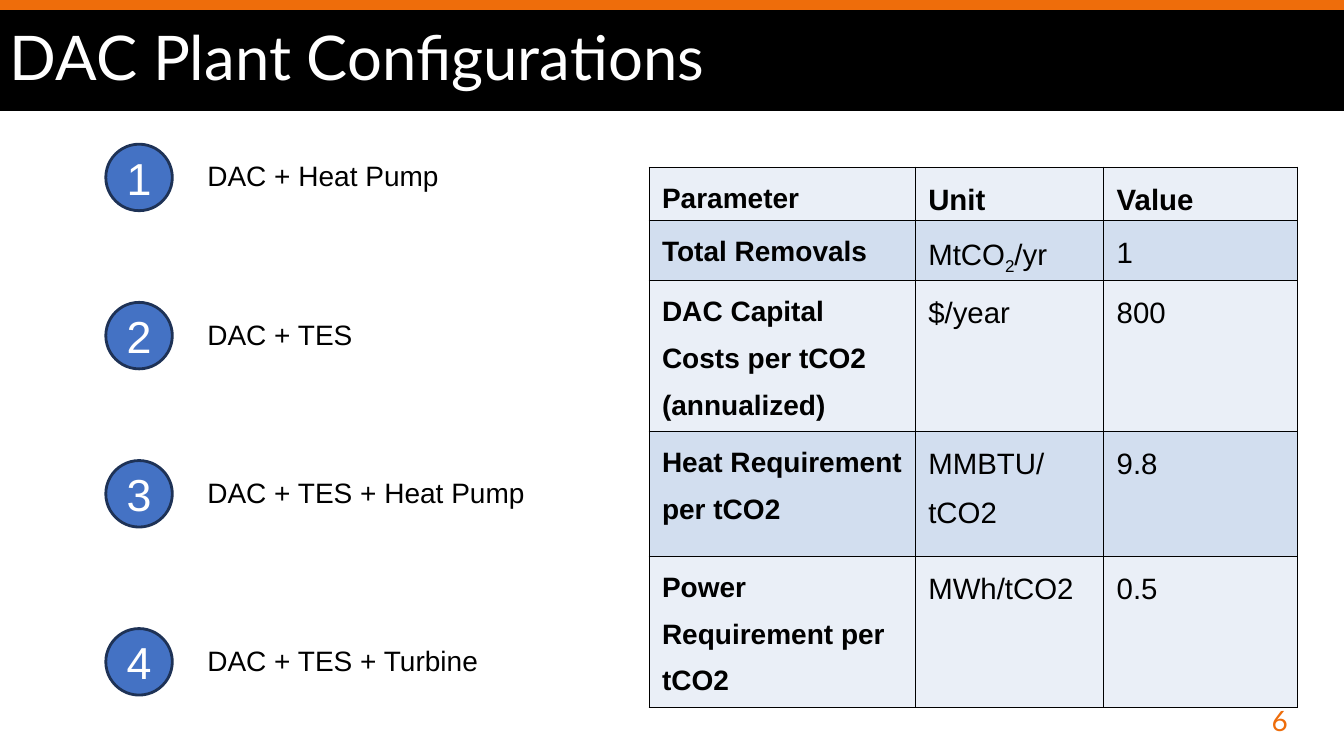
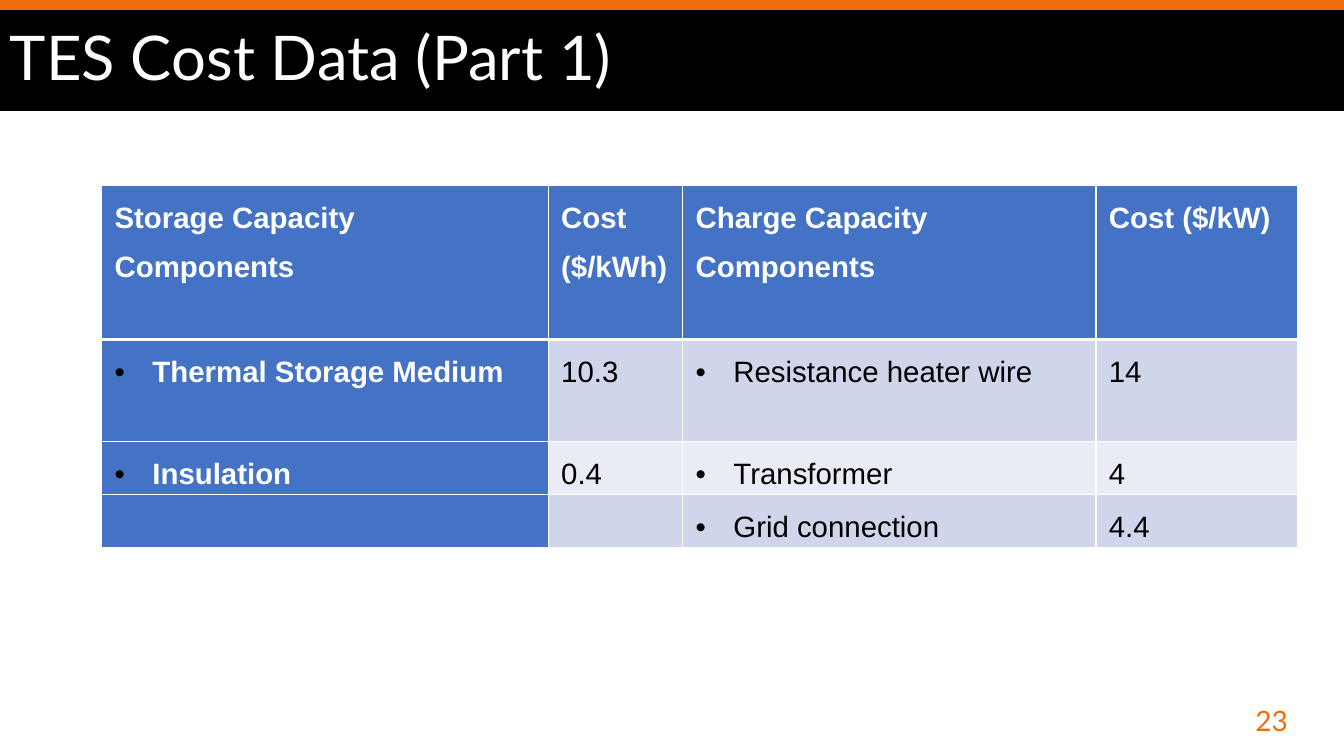
from lxml import etree
from pptx import Presentation
from pptx.dml.color import RGBColor
from pptx.enum import shapes, text
from pptx.oxml import ns
from pptx.util import Pt

WHITE = RGBColor(0xFF, 0xFF, 0xFF)
BLACK = RGBColor(0, 0, 0)
ORANGE = RGBColor(0xEE, 0x6D, 0x0B)
BLUE = RGBColor(0x44, 0x72, 0xC4)
NAVY = RGBColor(0x1E, 0x32, 0x56)
ICE = RGBColor(0xEA, 0xEF, 0xF7)
SKY = RGBColor(0xD2, 0xDE, 0xEF)
LILAC = RGBColor(0xCF, 0xD5, 0xEA)
MIST = RGBColor(0xE9, 0xEB, 0xF5)

WIDE, HIGH = 960, 540
HEAD, BODY = "Lato", "Arial"
LEFT, MID, RIGHT, FULL = (text.PP_ALIGN.LEFT, text.PP_ALIGN.CENTER,
                          text.PP_ALIGN.RIGHT, text.PP_ALIGN.JUSTIFY)
RECT, OVAL = shapes.MSO_SHAPE.RECTANGLE, shapes.MSO_SHAPE.OVAL


def add(parent, tag, **attrs):
    return etree.SubElement(parent, ns.qn(tag), attrs)


class Deck:
    def __init__(self):
        self.prs = Presentation()
        self.prs.slide_width, self.prs.slide_height = Pt(WIDE), Pt(HIGH)
        self.slide = None

    def page(self, title, number):
        """Start a slide with its orange strip, title band and number."""
        self.slide = self.prs.slides.add_slide(self.prs.slide_layouts[6])
        self.shape(RECT, (0, 0, WIDE, 7.2), ORANGE)
        band = self.shape(RECT, (0, 7.2, WIDE, 72), BLACK)
        self.letter(band, title, 44, WHITE, HEAD).line_spacing = 0.9
        self.label((711, 500, 216, 29), number, 20, ORANGE, HEAD, RIGHT)

    def shape(self, kind, at, fill, line=None):
        item = self.slide.shapes.add_shape(kind, *map(Pt, at))
        item.shadow.inherit = False
        item.fill.solid()
        item.fill.fore_color.rgb = fill
        if line is None:
            item.line.fill.background()
        else:
            item.line.color.rgb = line
            item.line.width = Pt(2)
        return item

    def style(self, para, size, color, font=BODY, align=LEFT, bold=False):
        para.alignment = align
        para.font.size, para.font.name = Pt(size), font
        para.font.color.rgb, para.font.bold = color, bold

    def letter(self, item, words, size, color, font=BODY, align=LEFT):
        """Set one styled line of text, centred by height, in a shape."""
        frame = item.text_frame
        frame.word_wrap = True
        frame.vertical_anchor = text.MSO_ANCHOR.MIDDLE
        frame.text = words
        para = frame.paragraphs[0]
        self.style(para, size, color, font, align)
        return para

    def label(self, at, words, size, color, font=BODY, align=LEFT):
        box = self.slide.shapes.add_textbox(*map(Pt, at))
        self.letter(box, words, size, color, font, align)

    def badge(self, x, y, words):
        disc = self.shape(OVAL, (x, y, 47.5, 47.5), BLUE, NAVY)
        frame = disc.text_frame
        frame.margin_left = frame.margin_right = 0
        frame.margin_top = frame.margin_bottom = 0
        self.letter(disc, words, 32, WHITE, align=MID)

    def table(self, x, y, cols, rows, data, look, edge, rule=1):
        """Draw data; look(row, col) gives fill, size, colour, bold, bullet.

        rule is the width of the line below the first row.
        """
        grid = self.slide.shapes.add_table(
            len(rows), len(cols), Pt(x), Pt(y),
            Pt(sum(cols)), Pt(sum(rows))).table
        grid.first_row = grid.horz_banding = False
        for col, width in zip(grid.columns, cols):
            col.width = Pt(width)
        for r, height in enumerate(rows):
            grid.rows[r].height = Pt(height)
            for c, words in enumerate(data[r]):
                cell = grid.cell(r, c)
                fill, *looks = look(r, c)
                self.edges(cell, edge, rule if r == 1 else 1,
                           rule if r == 0 else 1)
                cell.fill.solid()
                cell.fill.fore_color.rgb = fill
                if words:
                    self.fill(cell, words, *looks)

    def edges(self, cell, color, top, base):
        props = cell._tc.get_or_add_tcPr()
        for side, width in zip("LRTB", (1, 1, top, base)):
            line = add(props, f"a:ln{side}", w=str(Pt(width)))
            add(add(line, "a:solidFill"), "a:srgbClr", val=str(color))

    def fill(self, cell, words, size, color, bold, bullet):
        """Fill a cell; text between underscores is set as subscript."""
        cell.margin_left = cell.margin_right = Pt(9.2)
        cell.margin_top = cell.margin_bottom = 0
        frame = cell.text_frame
        for i, line in enumerate(words.split("\n")):
            para = frame.add_paragraph() if i else frame.paragraphs[0]
            for j, part in enumerate(line.split("_")):
                run = para.add_run()
                run.text = part
                if j % 2:
                    run._r.get_or_add_rPr().set("baseline", "-25000")
            para.line_spacing = 1.5
            if bullet:
                self.bullet(para)
            self.style(para, size, color, bold=bold,
                       align=FULL if bullet and not bold else LEFT)

    def bullet(self, para):
        para.space_after = Pt(8)
        props = para._p.get_or_add_pPr()
        props.set("marL", str(Pt(27)))
        props.set("indent", str(Pt(-27)))
        add(add(props, "a:buClr"), "a:srgbClr", val=str(BLACK))
        add(props, "a:buFont", typeface=BODY)
        add(props, "a:buChar", char="•")


PLANTS = zip((103, 216, 329, 449),
             ("DAC + Heat Pump", "DAC + TES", "DAC + TES + Heat Pump",
              "DAC + TES + Turbine"))

PARAMS = (
    ("Parameter", "Unit", "Value"),
    ("Total Removals", "MtCO_2_/yr", "1"),
    ("DAC Capital Costs per tCO2 (annualized)", "$/year", "800"),
    ("Heat Requirement per tCO2", "MMBTU/\ntCO2", "9.8"),
    ("Power Requirement per tCO2", "MWh/tCO2", "0.5"),
)

COSTS = (
    ("Storage Capacity Components", "Cost ($/kWh)",
     "Charge Capacity Components", "Cost ($/kW)"),
    ("Thermal Storage Medium", "10.3", "Resistance heater wire", "14"),
    ("Insulation", "0.4", "Transformer", "4"),
    ("", "", "Grid connection", "4.4"),
)


def param(r, c):
    return (SKY if r % 2 else ICE, 21 if c else 20, BLACK,
            r == 0 or c == 0, False)


def cost(r, c):
    bullet = r > 0 and c % 2 == 0
    if r == 0 or c == 0:
        return BLUE, 21, WHITE, True, bullet
    return LILAC if r % 2 else MIST, 21, BLACK, False, bullet


def main():
    deck = Deck()

    deck.page("DAC Plant Configurations", "6")
    for i, (top, plant) in enumerate(PLANTS, 1):
        deck.badge(75.6, top, str(i))
        deck.label((141, top + 6.5, 297, 32), plant, 20, BLACK)
    deck.table(463.7, 119.5, (190.2, 134.6, 138.2), (27, 27, 89, 89, 89),
               PARAMS, param, BLACK)

    deck.page("TES Cost Data (Part 1)", "23")
    deck.table(72.7, 132.5, (319, 96, 295.2, 144), (110, 72.7, 34.6, 34.6),
               COSTS, cost, WHITE, rule=3)

    deck.prs.save("out.pptx")


if __name__ == "__main__":
    main()
